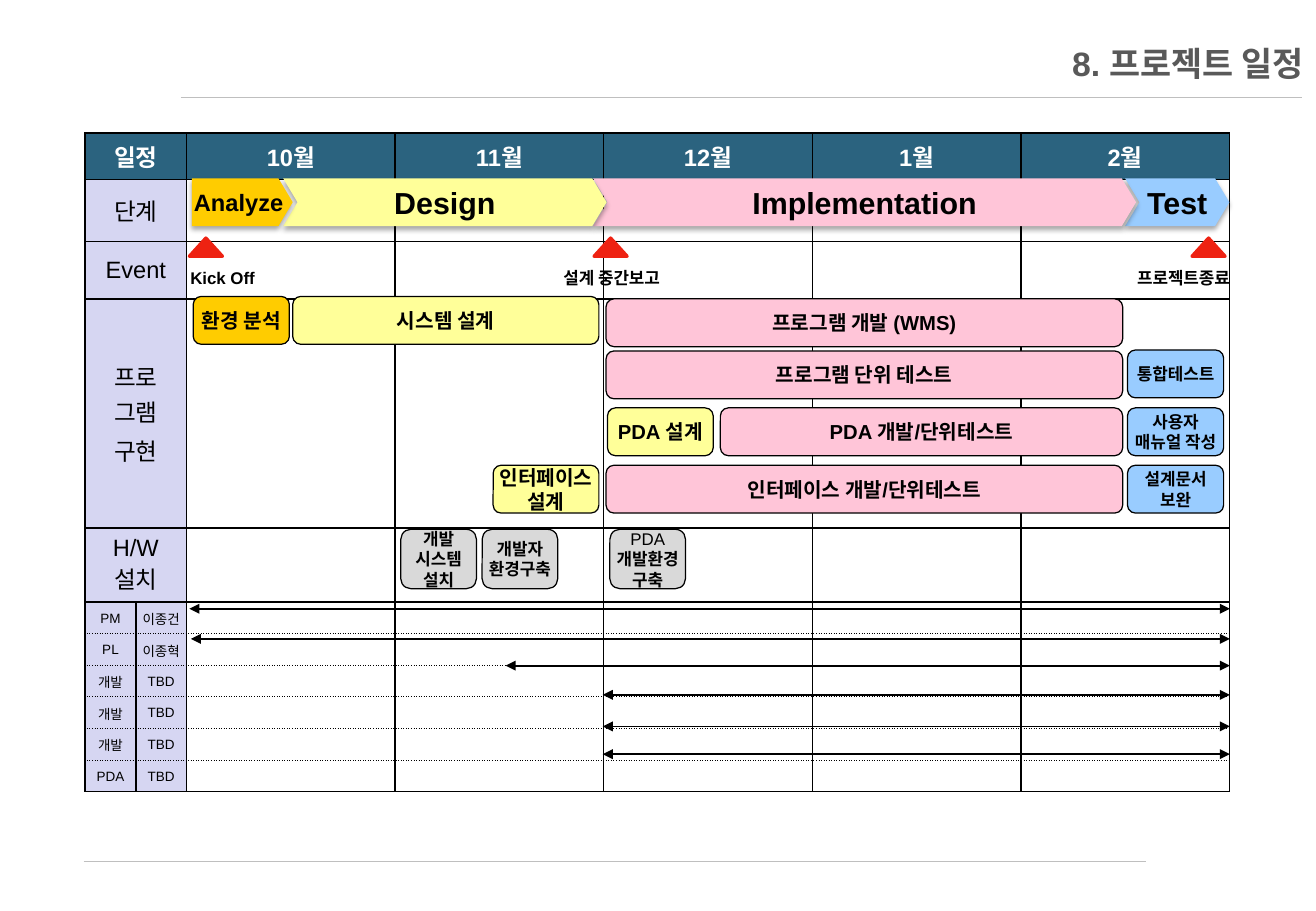
from lxml import etree
from pptx import Presentation
from pptx.dml.color import RGBColor
from pptx.enum.dml import MSO_LINE
from pptx.enum.shapes import MSO_CONNECTOR, MSO_SHAPE
from pptx.enum.text import MSO_ANCHOR, PP_ALIGN
from pptx.oxml import parse_xml
from pptx.oxml.ns import nsdecls, qn
from pptx.util import Cm, Pt

LEFT, CENTER, RIGHT = PP_ALIGN.LEFT, PP_ALIGN.CENTER, PP_ALIGN.RIGHT
MIDDLE, TOP = MSO_ANCHOR.MIDDLE, MSO_ANCHOR.TOP
ROUND, CHEVRON = MSO_SHAPE.ROUNDED_RECTANGLE, MSO_SHAPE.CHEVRON
PENTAGON, TRIANGLE = MSO_SHAPE.PENTAGON, MSO_SHAPE.ISOSCELES_TRIANGLE
STRAIGHT, DOTTED = MSO_CONNECTOR.STRAIGHT, MSO_LINE.ROUND_DOT


class Theme:
    font = "Arial"
    title, phase, head, bar, small, staff = 20, 18, 14, 12, 10, 8
    black, white, gray, rule = "000000", "FFFFFF", "595959", "BFBFBF"
    header, side, event = "2B637F", "D6D6F2", "EE2212"
    analyze, design, build, test, hw = "FFCC00", "FFFF99", "FFC5D8", "99CCFF", "D9D9D9"


def write(tf, text, size=Theme.bar, color=Theme.black, bold=True, align=CENTER,
          anchor=MIDDLE, wrap=True, before=0):
    tf.word_wrap = wrap
    tf.vertical_anchor = anchor
    for i, line in enumerate(text.split("\n")):
        p = tf.add_paragraph() if i else tf.paragraphs[0]
        p.alignment = align
        p.space_before = Pt(before)
        r = p.add_run()
        r.text = line
        r.font.name = Theme.font
        r.font.size = Pt(size)
        r.font.bold = bold
        r.font.color.rgb = RGBColor.from_string(color)


def add_line(x1, y1, x2, y2, color, width):
    ln = s.shapes.add_connector(STRAIGHT, Cm(x1), Cm(y1), Cm(x2), Cm(y2))
    ln.line.color.rgb = RGBColor.from_string(color)
    ln.line.width = Pt(width)
    etree.SubElement(ln._element.spPr, qn("a:effectLst"))
    return ln


prs = Presentation()
prs.slide_width, prs.slide_height = Cm(27.51), Cm(19.05)
s = prs.slides.add_slide(prs.slide_layouts[6])

# Title and page rules
for x1, y, x2 in [(3.78, 2.03, 27.2), (1.75, 18.01, 23.95)]:
    add_line(x1, y, x2, y, Theme.rule, 0.25).line.dash_style = DOTTED
sp = s.shapes.add_textbox(Cm(2.74), Cm(0.74), Cm(24.77), Cm(1.14))
write(sp.text_frame, "8. 프로젝트 일정", size=Theme.title, color=Theme.gray, align=RIGHT)

# Schedule table
HEADER = ["일정", "", "10월", "11월", "12월", "1월", "2월"]
STAGES = ["단계", "Event", "프로 그램\n구현", "H/W 설치"]
STAFF = [("PM", "이종건"), ("PL", "이종혁"), ("개발", "TBD"), ("개발", "TBD"),
         ("개발", "TBD"), ("PDA", "TBD")]
rows = [HEADER] + [[stage] for stage in STAGES] + STAFF
heights = [0.97, 1.3, 1.2, 4.79, 1.55] + [0.66] * len(STAFF)
widths = [1.06] * 2 + [4.36] * 5
first_staff = 1 + len(STAGES)
tbl = s.shapes.add_table(len(rows), len(widths), Cm(1.78), Cm(2.78),
                         Cm(sum(widths)), Cm(sum(heights))).table
tbl.first_row = tbl.horz_banding = False
for col, w in zip(tbl.columns, widths):
    col.width = Cm(w)
for row, h in zip(tbl.rows, heights):
    row.height = Cm(h)
for i in range(first_staff):
    tbl.cell(i, 0).merge(tbl.cell(i, 1))

for i, texts in enumerate(rows):
    is_staff = i >= first_staff
    for j in range(len(widths)):
        cell = tbl.cell(i, j)
        if is_staff:
            cell.margin_left = cell.margin_right = Cm(0.03)
            cell.margin_top, cell.margin_bottom = Cm(0.03), 0
        if i == 0 or j < 2:
            cell.fill.solid()
            cell.fill.fore_color.rgb = RGBColor.from_string(Theme.side if i else Theme.header)
        else:
            cell.fill.background()
        if j < len(texts) and texts[j]:
            write(cell.text_frame, texts[j], size=Theme.staff if is_staff else Theme.head,
                  color=Theme.black if i else Theme.white, bold=i == 0,
                  before=0 if is_staff else 2.8)
            cell.vertical_anchor = MIDDLE
        else:
            end = cell.text_frame.paragraphs[0]._p.get_or_add_endParaRPr()
            end.set("sz", str(Theme.staff * 100))
        # Solid borders, dotted between staff rows
        dotted = {"T": i > first_staff, "B": is_staff and i < len(rows) - 1}
        for k, side in enumerate("LRTB"):
            dot = dotted.get(side, False)
            cell._tc.get_or_add_tcPr().insert(k, parse_xml(
                f'<a:ln{side} {nsdecls("a")} w="{Pt(0.5 if dot else 1)}">'
                f'<a:solidFill><a:srgbClr val="{Theme.black}"/></a:solidFill>'
                f'<a:prstDash val="{"sysDot" if dot else "solid"}"/></a:ln{side}>'))

# Task bars: left, top, width, height, fill, size, text
BAR_H, HW_H = 1, 1.24
bars = [
    (4.04, 6.2, 2.01, BAR_H, Theme.analyze, Theme.bar, "환경 분석"),
    (6.12, 6.2, 6.4, BAR_H, Theme.design, Theme.bar, "시스템 설계"),
    (12.67, 6.25, 10.8, BAR_H, Theme.build, Theme.bar, "프로그램 개발 (WMS)"),
    (12.67, 7.34, 10.8, BAR_H, Theme.build, Theme.bar, "프로그램 단위 테스트"),
    (23.57, 7.32, 2.01, BAR_H, Theme.test, Theme.small, "통합테스트"),
    (12.7, 8.53, 2.21, BAR_H, Theme.design, Theme.bar, "PDA 설계"),
    (15.06, 8.53, 8.41, BAR_H, Theme.build, Theme.bar, "PDA 개발/단위테스트"),
    (23.57, 8.53, 2.01, BAR_H, Theme.test, Theme.small, "사용자\n매뉴얼 작성"),
    (10.31, 9.73, 2.21, BAR_H, Theme.design, Theme.bar, "인터페이스\n설계"),
    (12.67, 9.73, 10.8, BAR_H, Theme.build, Theme.bar, "인터페이스 개발/단위테스트"),
    (23.57, 9.73, 2.01, BAR_H, Theme.test, Theme.small, "설계문서\n보완"),
    (8.38, 11.07, 1.58, HW_H, Theme.hw, Theme.small, "개발\n시스템\n설치"),
    (10.08, 11.07, 1.58, HW_H, Theme.hw, Theme.small, "개발자\n환경구축"),
    (12.75, 11.07, 1.58, HW_H, Theme.hw, Theme.small, "PDA\n개발환경\n구축"),
]
for x, y, w, h, fill, size, text in bars:
    sp = s.shapes.add_shape(ROUND, Cm(x), Cm(y), Cm(w), Cm(h))
    sp.shadow.inherit = False
    sp.fill.solid()
    sp.fill.fore_color.rgb = RGBColor.from_string(fill)
    sp.line.color.rgb = RGBColor.from_string(Theme.black)
    sp.line.width = Pt(0.75)
    write(sp.text_frame, text, size=size, wrap=False)
# The first line of the PDA environment box is light
sp.text_frame.paragraphs[0].runs[0].font.bold = False

# Events: marker left, label left, label width, alignment, wrap, text
events = [(3.96, 3.73, 1.88, LEFT, False, "Kick Off"),
          (12.42, 11.4, 2.77, CENTER, False, "설계 중간보고"),
          (24.92, 22.56, 3.4, RIGHT, True, "프로젝트종료")]
for x, label_x, label_w, align, wrap, text in events:
    sp = s.shapes.add_shape(TRIANGLE, Cm(x), Cm(4.98), Cm(0.69), Cm(0.38))
    sp.shadow.inherit = False
    sp.fill.solid()
    sp.fill.fore_color.rgb = sp.line.color.rgb = RGBColor.from_string(Theme.event)
    sp.line.width = Pt(2)
    sp = s.shapes.add_textbox(Cm(label_x), Cm(5.48), Cm(label_w), Cm(0.68))
    write(sp.text_frame, text, size=Theme.small, align=align, anchor=TOP, wrap=wrap)

# Phase arrows, later phases at the back
phases = [(CHEVRON, 23.52, 2.18, Theme.test, Theme.phase, "Test"),
          (CHEVRON, 12.4, 11.35, Theme.build, Theme.phase, "Implementation"),
          (CHEVRON, 5.92, 6.76, Theme.design, Theme.phase, "Design"),
          (PENTAGON, 4.01, 2.11, Theme.analyze, Theme.head, "Analyze")]
for kind, x, w, fill, size, text in phases:
    sp = s.shapes.add_shape(kind, Cm(x), Cm(3.73), Cm(w), Cm(1))
    sp.adjustments[0] = 0.3
    sp.fill.solid()
    sp.fill.fore_color.rgb = RGBColor.from_string(fill)
    sp.line.fill.background()
    sp._element.spPr.append(parse_xml(
        f'<a:effectLst {nsdecls("a")}><a:outerShdw blurRad="{Pt(3.1)}" dist="{Pt(1.8)}" '
        f'dir="5400000" rotWithShape="0"><a:srgbClr val="{Theme.black}">'
        '<a:alpha val="35000"/></a:srgbClr></a:outerShdw></a:effectLst>'))
    sp.text_frame.margin_left = sp.text_frame.margin_right = 0
    write(sp.text_frame, text, size=size)

# Staff assignment arrows
for x, y in [(3.96, 12.73), (3.99, 13.36), (10.57, 13.92),
             (12.6, 14.53), (12.6, 15.19), (12.6, 15.77)]:
    ln = add_line(x, y, 25.71, y, Theme.black, 1).line._get_or_add_ln()
    for end in ("a:headEnd", "a:tailEnd"):
        etree.SubElement(ln, qn(end), type="triangle")

prs.save("out.pptx")
